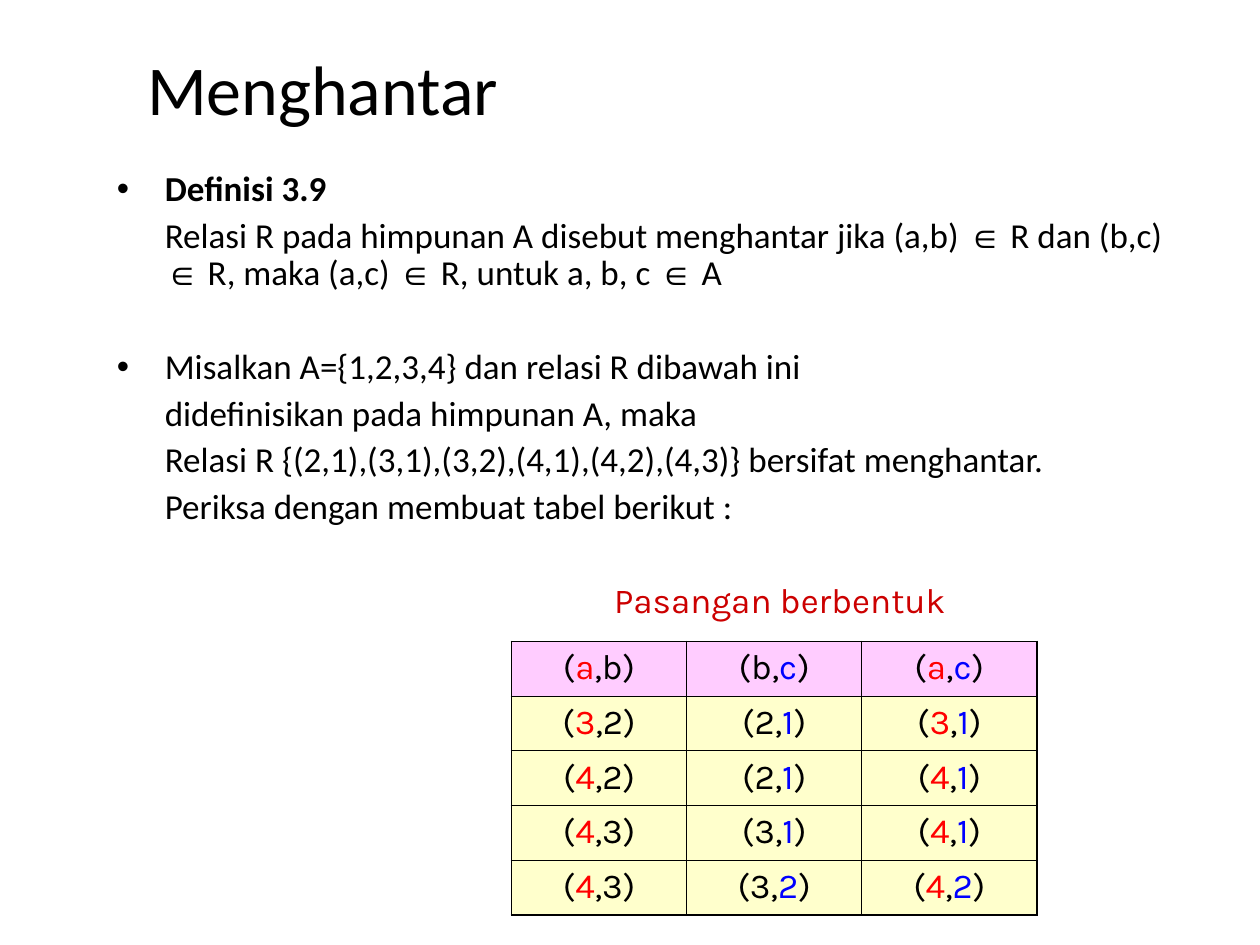
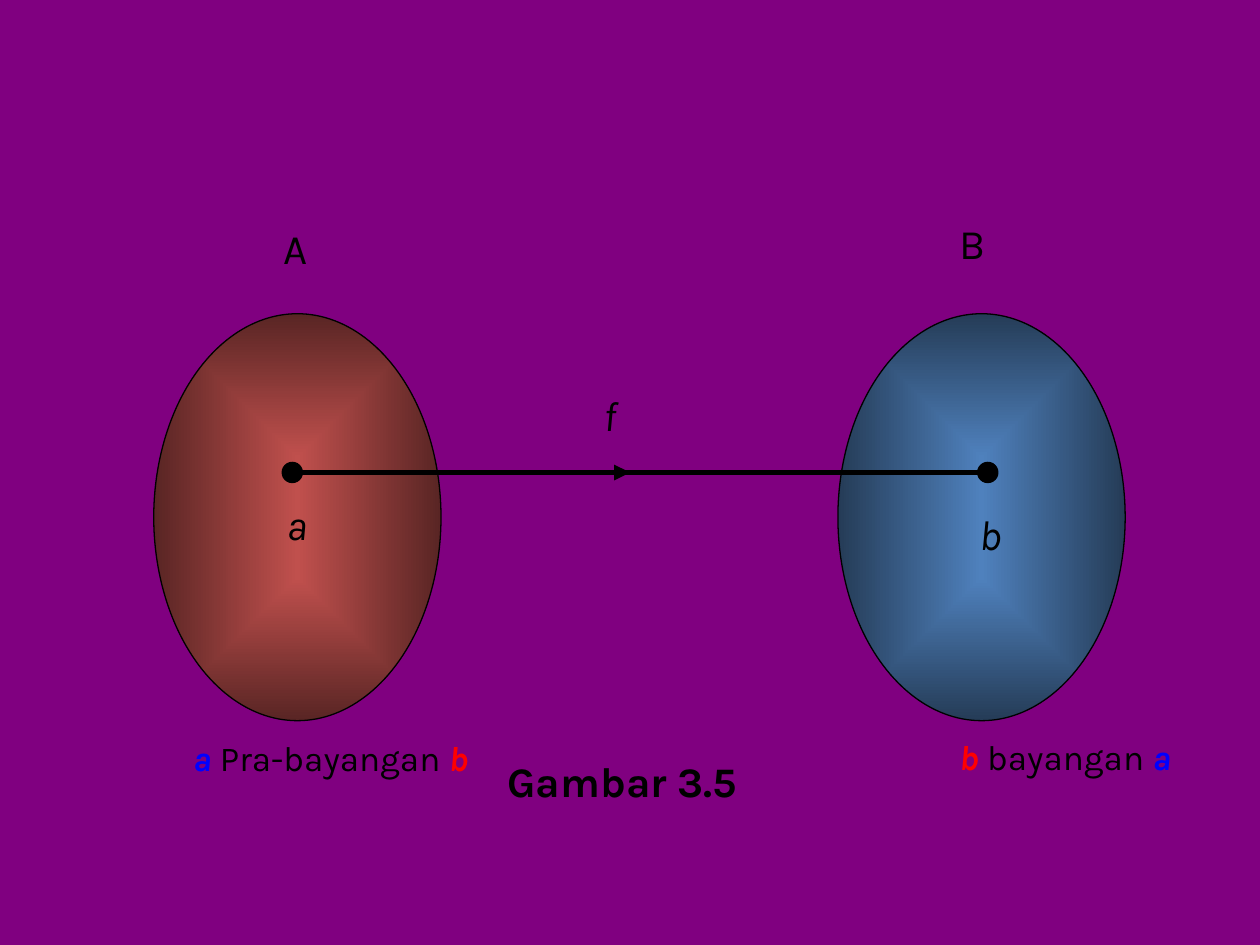
import pptx
import pptx.util
import pptx.dml.color
import pptx.enum.shapes
import pptx.enum.text
import pptx.oxml
import pptx.oxml.ns
from lxml import etree

WIDE, HIGH = 10, 7.5
BLACK, RED, BLUE = "000000", "FF0000", "0000FF"
PURPLE, CRIMSON = "800080", "CC0000"
HEAD, BODY = "FFCCFF", "FFFFCC"
THIN, THICK = 0.45, 1.08
NS = "http://schemas.openxmlformats.org/drawingml/2006/main"
CENTER = pptx.enum.text.PP_ALIGN.CENTER
OVAL = pptx.enum.shapes.MSO_SHAPE.OVAL

# Slide 1: each paragraph is (bullet, space before, runs)
TITLE = "Menghantar"
PLAIN = dict(name="Calibri", size=20)
SIGN = ("∈", dict(name="Arial", bold=True))
NOTES = [
    (True, 5, [("Definisi 3.9", dict(bold=True))]),
    (False, 5, [("Relasi R pada himpunan A disebut menghantar jika (a,b) ", {}),
                SIGN, (" R dan (b,c) ", {}),
                SIGN, (" R, maka (a,c) ", {}),
                SIGN, (" R, untuk a, b, c ", {}),
                SIGN, (" A", {})]),
    (True, 32, [("Misalkan A={1,2,3,4} dan relasi R dibawah ini", {})]),
    (False, 5, [("didefinisikan pada himpunan A, maka", {})]),
    (False, 5, [("Relasi R {(2,1),(3,1),(3,2),(4,1),(4,2),(4,3)} bersifat menghantar.", {})]),
    (False, 5, [("Periksa dengan membuat tabel berikut :", {})]),
]
CAPTION = "Pasangan berbentuk"
TRIPLES = ["abc", "321", "421", "431", "432"]
PAIRS = [(0, 1), (1, 2), (0, 2)]
INKS = [RED, BLACK, BLUE]

# Slide 2
SETS = [(1.22, "C0504D", "592524"), (6.65, "4F81BD", "253C57")]
DOTS, LEVEL, DOT = (2.32, 7.84), 3.75, 0.16
LINKS = [(7.84, False), (5, True)]
ITALIC = dict(italic=True)
A = ("a", dict(bold=True, italic=True, color=BLUE))
B = ("b", dict(bold=True, italic=True, color=RED))
LABELS = [
    ((2.14, 1.72, 0.41, 0.5), 24, [("A", {})]),
    ((7.51, 1.68, 0.41, 0.5), 24, [("B", {})]),
    ((2.16, 3.91, 0.39, 0.5), 24, [("a", ITALIC)]),
    ((7.67, 3.99, 0.39, 0.5), 24, [("b", ITALIC)]),
    ((4.69, 3.04, 0.3, 0.5), 24, [("f", ITALIC)]),
    ((3.85, 5.95, 2.18, 0.5), 24, [("Gambar 3.5", dict(bold=True))]),
    ((7.47, 5.79, 1.97, 0.44), 20, [B, (" bayangan ", {}), A]),
    ((1.34, 5.8, 2.57, 0.44), 20, [A, (" Pra-bayangan ", {}), B]),
]


def rgb(code):
    return pptx.dml.color.RGBColor.from_string(code)


def inch(*sizes):
    return [pptx.util.Inches(size) for size in sizes]


def sub(node, tag, **marks):
    return etree.SubElement(node, f"{{{NS}}}{tag}", **marks)


def write(para, runs, base):
    """Add runs of (text, format), each on top of the base format."""
    for text, extra in runs:
        run = para.add_run()
        run.text = text
        for key, value in {"color": BLACK, **base, **extra}.items():
            if key == "color":
                run.font.color.rgb = rgb(value)
            else:
                setattr(run.font, key, pptx.util.Pt(value) if key == "size" else value)


def label(slide, box, size, runs):
    frame = slide.shapes.add_textbox(*inch(*box)).text_frame
    frame.word_wrap = False
    para = frame.paragraphs[0]
    para.alignment = CENTER
    write(para, runs, dict(name="Karla", size=size))


def paint(slide, code):
    fill = slide.background.fill
    fill.solid()
    fill.fore_color.rgb = rgb(code)


def notes(slide):
    frame = slide.shapes.add_textbox(*inch(0.83, 1.31, 8.5, 3.39)).text_frame
    frame.word_wrap = True
    for spot, (dot, gap, runs) in enumerate(NOTES):
        para = frame.add_paragraph() if spot else frame.paragraphs[0]
        para.line_spacing = 0.9
        para.space_before = pptx.util.Pt(gap)
        props = para._p.get_or_add_pPr()
        indent = pptx.util.Inches(0.38)
        props.set("marL", str(indent))
        props.set("indent", str(-indent if dot else 0))
        if dot:
            sub(props, "buFont", typeface="Arial")
            sub(props, "buChar", char="•")
        else:
            sub(props, "buNone")
        write(para, runs, PLAIN)


def border(cell, widths):
    props = cell._tc.get_or_add_tcPr()
    for spot, (side, width) in enumerate(zip("LRTB", widths)):
        line = etree.Element(f"{{{NS}}}ln{side}", w=str(pptx.util.Pt(width)))
        sub(sub(line, "solidFill"), "srgbClr", val=BLACK)
        props.insert(spot, line)


def grid(slide):
    rows, cols = len(TRIPLES), len(PAIRS)
    table = slide.shapes.add_table(rows, cols, *inch(4.06, 5.09, 4.17, 2.17)).table
    for r, triple in enumerate(TRIPLES):
        for c, pair in enumerate(PAIRS):
            cell = table.cell(r, c)
            cell.fill.solid()
            cell.fill.fore_color.rgb = rgb(BODY if r else HEAD)
            edges = (c == 0, c == cols - 1, r == 0, r == rows - 1)
            border(cell, [THICK if edge else THIN for edge in edges])
            left, right = [(triple[n], dict(color=INKS[n])) for n in pair]
            para = cell.text_frame.paragraphs[0]
            para.alignment = CENTER
            write(para, [("(", {}), left, (",", {}), right, (")", {})],
                  dict(name="Karla", size=20, bold=False))


def oval(slide, box):
    shape = slide.shapes.add_shape(OVAL, *inch(*box))
    shape.shadow.inherit = False
    shape.line.color.rgb = rgb(BLACK)
    shape.line.width = pptx.util.Pt(0.75)
    return shape


def glow(shape, codes):
    """Fill with a rectangular gradient from the centre outwards."""
    shape.fill.gradient()
    for stop, code, place in zip(shape.fill.gradient_stops, codes, (0, 1)):
        stop.color.rgb = rgb(code)
        stop.position = place
    grad = shape._element.spPr.find(f"{{{NS}}}gradFill")
    grad.remove(grad.find(f"{{{NS}}}lin"))
    way = sub(grad, "path", path="rect")
    sub(way, "fillToRect", **dict.fromkeys("ltrb", "50000"))


def link(slide, end, arrow):
    kind = pptx.enum.shapes.MSO_CONNECTOR.STRAIGHT
    line = slide.shapes.add_connector(kind, *inch(DOTS[0], LEVEL, end, LEVEL))
    line.line.color.rgb = rgb(BLACK)
    line.line.width = pptx.util.Pt(3)
    if arrow:
        sub(line.line._get_or_add_ln(), "tailEnd", type="triangle")
    sub(line._element.spPr, "effectLst")


def define(deck):
    slide = deck.slides.add_slide(deck.slide_layouts[5])
    paint(slide, "FFFFFF")
    title = slide.shapes.title
    title.left, title.top, title.width, title.height = inch(0.67, 0.28, 3.78, 0.83)
    para = title.text_frame.paragraphs[0]
    para.alignment = CENTER
    write(para, [(TITLE, {})], dict(name="Calibri", size=40))
    notes(slide)
    grid(slide)
    label(slide, (4.73, 4.54, 2.92, 0.44), 20, [(CAPTION, dict(color=CRIMSON))])


def mapping(deck):
    slide = deck.slides.add_slide(deck.slide_layouts[6])
    paint(slide, PURPLE)
    for left, *codes in SETS:
        glow(oval(slide, (left, 2.49, 2.28, 3.23)), codes)
    for x in DOTS:
        dot = oval(slide, (x - DOT / 2, LEVEL - DOT / 2, DOT, DOT))
        dot.fill.solid()
        dot.fill.fore_color.rgb = rgb(BLACK)
    for end, arrow in LINKS:
        link(slide, end, arrow)
    for box, size, runs in LABELS:
        label(slide, box, size, runs)


def main():
    deck = pptx.Presentation()
    deck.slide_width, deck.slide_height = inch(WIDE, HIGH)
    define(deck)
    mapping(deck)
    deck.save("out.pptx")


if __name__ == "__main__":
    main()
